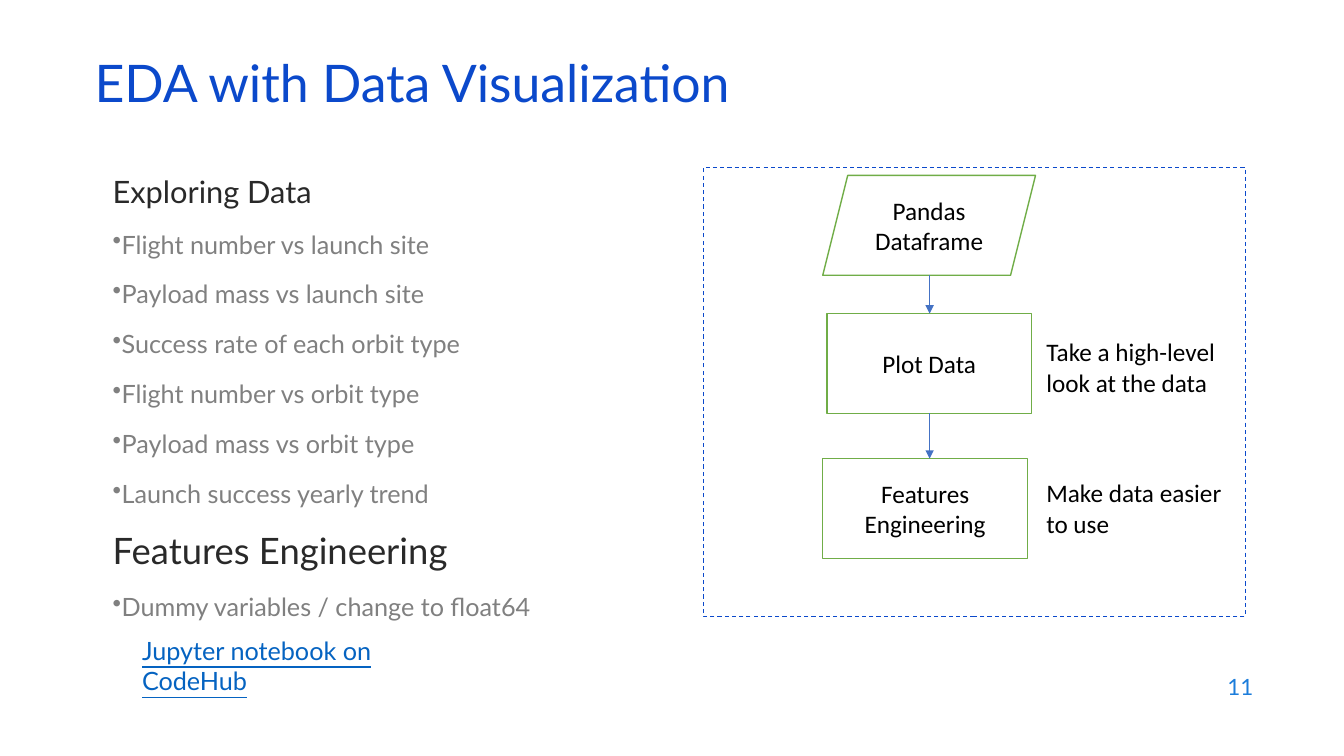
from dataclasses import dataclass
from itertools import pairwise

from lxml import etree
from pptx import Presentation
from pptx.dml.color import RGBColor
from pptx.enum.dml import MSO_LINE
from pptx.enum.shapes import MSO_CONNECTOR, MSO_SHAPE
from pptx.enum.text import MSO_ANCHOR, PP_ALIGN
from pptx.oxml.ns import qn
from pptx.util import Inches, Pt

RECT, PARALLELOGRAM = MSO_SHAPE.RECTANGLE, MSO_SHAPE.PARALLELOGRAM
STRAIGHT = MSO_CONNECTOR.STRAIGHT
DASH = MSO_LINE.DASH
TOP, MIDDLE = MSO_ANCHOR.TOP, MSO_ANCHOR.MIDDLE
LEFT, CENTER, RIGHT = PP_ALIGN.LEFT, PP_ALIGN.CENTER, PP_ALIGN.RIGHT

TITLE_BLUE = RGBColor(0x0B, 0x49, 0xCB)
NUMBER_BLUE = RGBColor(0x1C, 0x7D, 0xDB)
LINK_BLUE = RGBColor(0x05, 0x63, 0xC1)
ARROW_BLUE = RGBColor(0x44, 0x72, 0xC4)
GREEN = RGBColor(0x70, 0xAD, 0x47)
DARK = RGBColor(0x29, 0x29, 0x29)
GREY = RGBColor(0x80, 0x80, 0x80)
BLACK = RGBColor(0, 0, 0)
WHITE = RGBColor(0xFF, 0xFF, 0xFF)

WIDTH, HEIGHT = Inches(13.33), Inches(7.5)
BODY_GAP = Pt(14)
STEP_HEIGHT = 13.2
ARROW_X = 69.17


@dataclass(frozen=True)
class Area:
    """Position and size in percent of the slide's width and height."""
    x: float
    y: float
    w: float
    h: float

    def emu(self) -> tuple[int, int, int, int]:
        return across(self.x), down(self.y), across(self.w), down(self.h)


@dataclass(frozen=True)
class Line:
    text: str
    size: float
    color: RGBColor
    font: str = "Lato"
    align: PP_ALIGN = LEFT
    bullet: bool = False
    underline: bool = False
    spacing: float | None = None


@dataclass(frozen=True)
class Step:
    text: str
    kind: MSO_SHAPE
    x: float
    y: float
    w: float


@dataclass(frozen=True)
class Section:
    heading: str
    size: float
    items: tuple[str, ...]


BODY = Area(7.65, 22.13, 44.71, 59.47)
FRAME = Area(52.36, 22.13, 40.29, 59.47)

SECTIONS = (
    Section("Exploring Data", 22, (
        "Flight number vs launch site",
        "Payload mass vs launch site",
        "Success rate of each orbit type",
        "Flight number vs orbit type",
        "Payload mass vs orbit type",
        "Launch success yearly trend",
    )),
    Section("Features Engineering", 26, ("Dummy variables / change to float64",)),
)

STEPS = (
    Step("Pandas Dataframe", PARALLELOGRAM, 61.22, 23.2, 15.83),
    Step("Plot Data", RECT, 61.52, 41.47, 15.23),
    Step("Features Engineering", RECT, 61.22, 60.67, 15.23),
)

NOTES = (
    ("Take a high-level look at the data", Area(77.12, 43.87, 15.23, 9.47)),
    ("Make data easier to use", Area(77.12, 62.53, 14.78, 9.47)),
)


def across(share: float) -> int:
    return round(WIDTH * share / 100)


def down(share: float) -> int:
    return round(HEIGHT * share / 100)


def write(tf, lines: list[Line], anchor: MSO_ANCHOR) -> None:
    tf.word_wrap = True
    tf.vertical_anchor = anchor
    for i, line in enumerate(lines):
        p = tf.add_paragraph() if i else tf.paragraphs[0]
        p.text = line.text
        p.alignment = line.align
        if i:
            p.space_before = BODY_GAP
        if line.spacing:
            p.line_spacing = line.spacing
        if line.bullet:
            etree.SubElement(p._p.get_or_add_pPr(), qn("a:buChar"), char="•")
        p.font.name = line.font
        p.font.size = Pt(line.size)
        p.font.color.rgb = line.color
        if line.underline:
            p.font.underline = True


def add_text(slide, area: Area, *lines: Line, anchor: MSO_ANCHOR = TOP) -> None:
    write(slide.shapes.add_textbox(*area.emu()).text_frame, list(lines), anchor)


def add_frame(slide) -> None:
    s = slide.shapes.add_shape(RECT, *FRAME.emu())
    s.shadow.inherit = False
    s.fill.background()
    s.line.color.rgb = TITLE_BLUE
    s.line.width = Pt(0.75)
    s.line.dash_style = DASH


def add_step(slide, step: Step) -> None:
    area = Area(step.x, step.y, step.w, STEP_HEIGHT)
    s = slide.shapes.add_shape(step.kind, *area.emu())
    s.shadow.inherit = False
    s.fill.solid()
    s.fill.fore_color.rgb = WHITE
    s.line.color.rgb = GREEN
    s.line.width = Pt(1)
    write(s.text_frame, [Line(step.text, 18, BLACK, "Calibri", CENTER)], MIDDLE)


def add_arrow(slide, upper: Step, lower: Step) -> None:
    x = across(ARROW_X)
    c = slide.shapes.add_connector(
        STRAIGHT, x, down(upper.y + STEP_HEIGHT), x, down(lower.y))
    c.line.color.rgb = ARROW_BLUE
    c.line.width = Pt(0.5)
    etree.SubElement(c.line._get_or_add_ln(), qn("a:tailEnd"), type="triangle")
    etree.SubElement(c._element.spPr, qn("a:effectLst"))


def body_lines() -> list[Line]:
    lines = []
    for section in SECTIONS:
        lines.append(Line(section.heading, section.size, DARK))
        lines += [Line(item, 18, GREY, bullet=True) for item in section.items]
    return lines


def main() -> None:
    prs = Presentation()
    prs.slide_width, prs.slide_height = WIDTH, HEIGHT
    slide = prs.slides.add_slide(prs.slide_layouts[6])

    add_text(slide, Area(6.3, 7.87, 86.27, 8),
             Line("EDA with Data Visualization", 37, TITLE_BLUE, spacing=0.7),
             anchor=MIDDLE)
    add_text(slide, BODY, *body_lines())
    add_text(slide, Area(9.83, 83.33, 24.53, 9.47),
             Line("Jupyter notebook on CodeHub", 18, LINK_BLUE, underline=True),
             anchor=MIDDLE)
    add_text(slide, Area(71.49, 87.87, 22.5, 5.87),
             Line("11", 16, NUMBER_BLUE, align=RIGHT), anchor=MIDDLE)

    add_frame(slide)
    for step in STEPS:
        add_step(slide, step)
    for upper, lower in pairwise(STEPS):
        add_arrow(slide, upper, lower)
    for text, area in NOTES:
        add_text(slide, area, Line(text, 18, BLACK, "Calibri"))

    prs.save("out.pptx")


if __name__ == "__main__":
    main()
